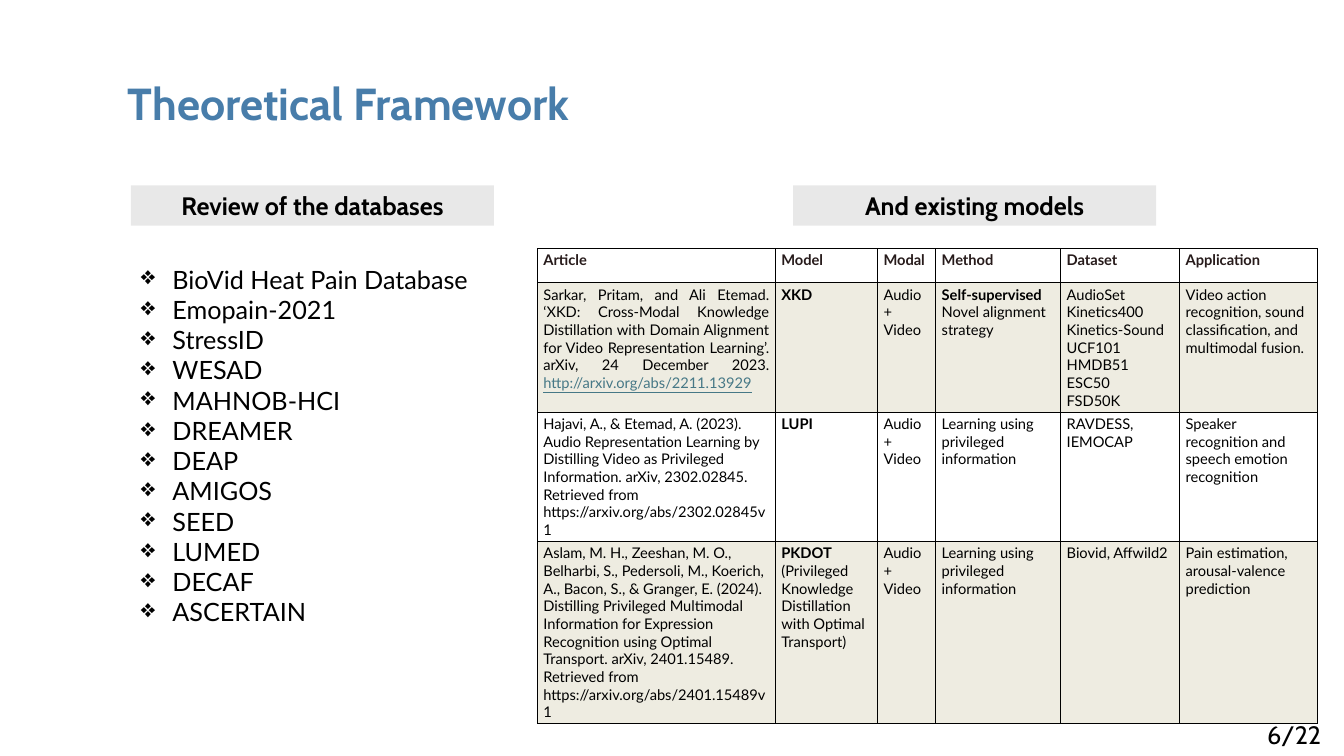
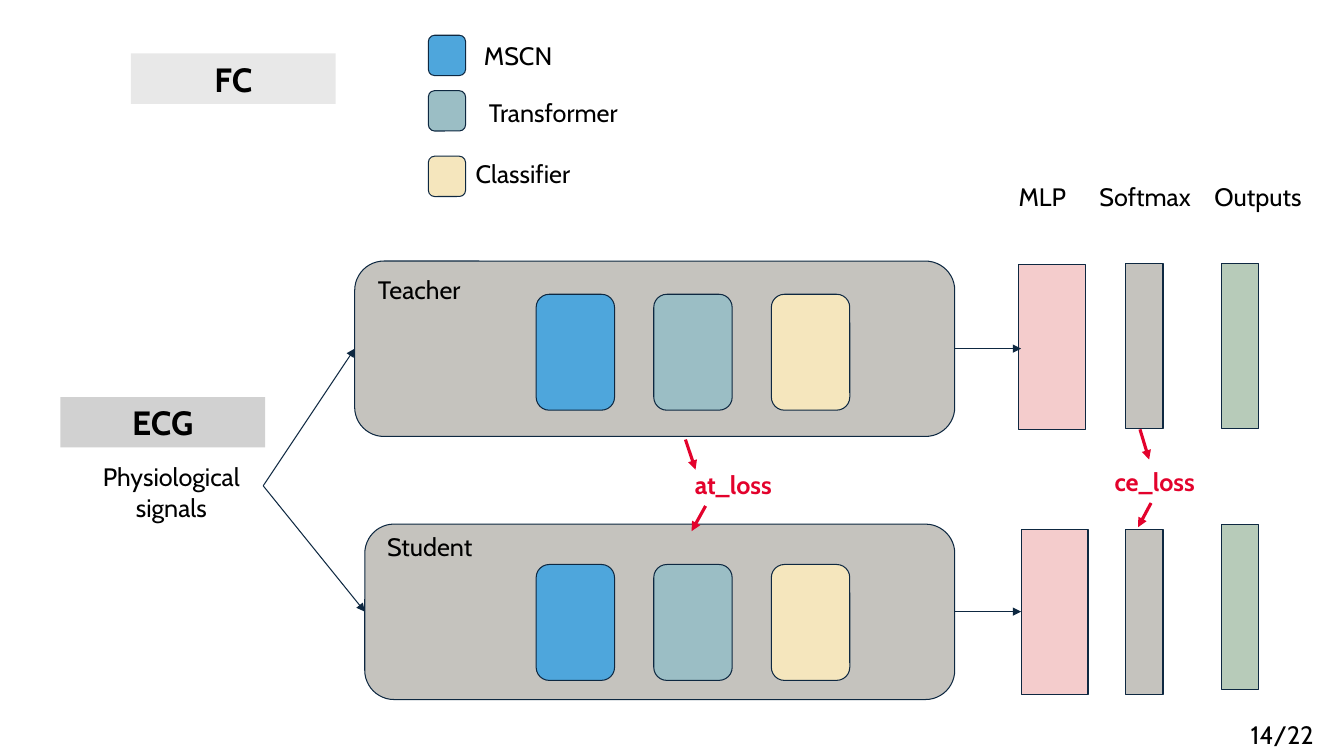
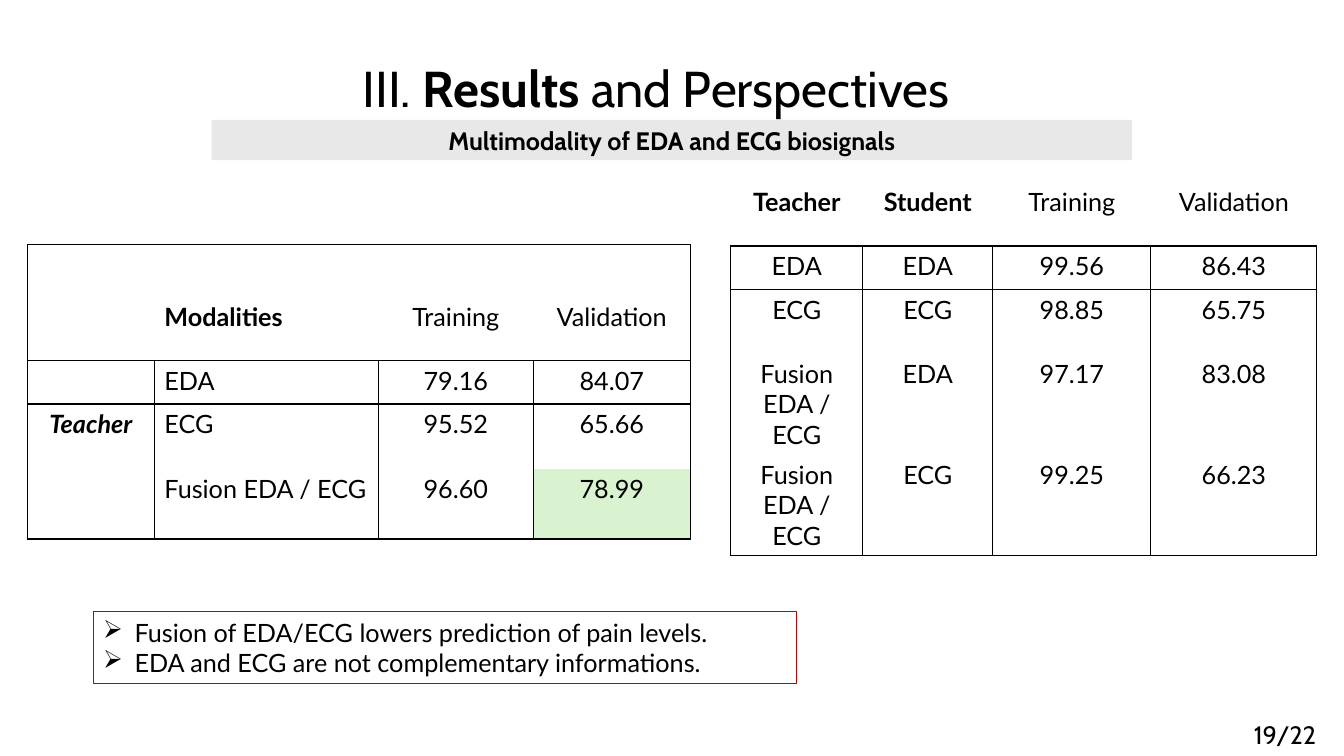
import dataclasses

import lxml.etree
import pptx
import pptx.dml.color
import pptx.enum.shapes
import pptx.enum.text
import pptx.oxml.ns
import pptx.util

Pt = pptx.util.Pt
Align = pptx.enum.text.PP_ALIGN
Preset = pptx.enum.shapes.MSO_SHAPE
qn = pptx.oxml.ns.qn


@dataclasses.dataclass(frozen=True)
class Theme:
    heading_font: str = "Cabin"
    body_font: str = "Lato"
    title_size: float = 32
    section_size: float = 36
    tag_size: float = 24
    text_size: float = 18
    cell_size: float = 10.5
    black: str = "000000"
    title: str = "487DAA"
    header: str = "271B1B"
    link: str = "467886"
    band: str = "E8E8E8"
    dark_band: str = "D1D1D1"
    beige: str = "EEECE1"
    edge: str = "0E2841"
    panel: str = "C5C3BE"
    mscn: str = "4EA6DC"
    transformer: str = "9BBEC5"
    classifier: str = "F5E6BD"
    mlp: str = "F4CCCC"
    output: str = "B7CBB9"
    loss: str = "E3022C"
    best: str = "D9F2D0"
    conclusion: str = "C00000"
    thin: float = 0.5
    fine: float = 0.75
    rule: float = 1
    thick: float = 2.25
    no_style: str = "{2D5ABB26-0587-4C30-8999-92F81FD0307C}"


THEME = Theme()


@dataclasses.dataclass(frozen=True)
class Look:
    size: float = THEME.text_size
    font: str = THEME.heading_font
    color: str = THEME.black
    bold: bool = False
    italic: bool = False
    align: Align = Align.LEFT


@dataclasses.dataclass(frozen=True)
class Span:
    text: str
    bold: bool = None
    color: str = None
    underline: bool = None


@dataclasses.dataclass(frozen=True)
class Network:
    name: str
    name_at: tuple
    panel_left: float
    panel_top: float
    blocks_top: float
    mlp_left: float
    bar_tops: tuple


LABEL = Look()
CENTERED = Look(align=Align.CENTER)
BAND = Look(bold=True, align=Align.CENTER)
TAG = dataclasses.replace(BAND, size=THEME.tag_size)
LOSS = dataclasses.replace(BAND, color=THEME.loss)
BODY = Look(font=THEME.body_font)
VALUE = dataclasses.replace(BODY, align=Align.CENTER)
SMALL = dataclasses.replace(BODY, size=THEME.cell_size)


def rgb(code):
    return pptx.dml.color.RGBColor.from_string(code)


def add_bullet(para, mark):
    props = para._p.get_or_add_pPr()
    props.set("marL", str(int(Pt(22.5))))
    props.set("indent", str(-int(Pt(22.5))))
    lxml.etree.SubElement(props, qn("a:buChar"), char=mark)


def write(frame, lines, look, bullet=None):
    frame.word_wrap = True
    for index, line in enumerate([lines] if isinstance(lines, str) else lines):
        para = frame.paragraphs[0] if index == 0 else frame.add_paragraph()
        para.alignment = look.align
        if bullet:
            add_bullet(para, bullet)
        font = para.font
        font.size, font.name = Pt(look.size), look.font
        font.bold, font.italic = look.bold, look.italic
        font.color.rgb = rgb(look.color)
        for span in [Span(line)] if isinstance(line, str) else line:
            if not span.text:
                continue
            run = para.add_run()
            run.text = span.text
            if span.bold is not None:
                run.font.bold = span.bold
            if span.underline is not None:
                run.font.underline = span.underline
            if span.color:
                run.font.color.rgb = rgb(span.color)


def add_text(page, left, top, width, height, lines, look, bullet=None):
    box = page.shapes.add_textbox(Pt(left), Pt(top), Pt(width), Pt(height))
    write(box.text_frame, lines, look, bullet)
    return box.text_frame


def add_label(page, left, top, width, height, lines, look=LABEL):
    frame = add_text(page, left, top, width, height, lines, look)
    frame.margin_left = frame.margin_right = 0
    frame.margin_top = frame.margin_bottom = 0


def add_centered(page, center, top, text, look=CENTERED, width=150, height=22):
    add_label(page, center - width / 2, top, width, height, text, look)


def add_box(page, left, top, width, height, fill=None, edge=THEME.edge, kind=Preset.RECTANGLE):
    shape = page.shapes.add_shape(kind, Pt(left), Pt(top), Pt(width), Pt(height))
    shape.shadow.inherit = False
    if fill:
        shape.fill.solid()
        shape.fill.fore_color.rgb = rgb(fill)
    else:
        shape.fill.background()
    if edge:
        shape.line.color.rgb = rgb(edge)
        shape.line.width = Pt(THEME.fine)
    else:
        shape.line.fill.background()
    return shape


def add_round_box(page, left, top, width, height, fill):
    add_box(page, left, top, width, height, fill, kind=Preset.ROUNDED_RECTANGLE)


def add_band(page, left, top, width, height, text, look=BAND, fill=THEME.band):
    shape = add_box(page, left, top, width, height, fill, edge=None)
    write(shape.text_frame, text, look)


def add_arrow(page, start, end, color=THEME.edge, weight=THEME.fine):
    straight = pptx.enum.shapes.MSO_CONNECTOR.STRAIGHT
    arrow = page.shapes.add_connector(straight, *(Pt(value) for value in start + end))
    arrow.line.color.rgb = rgb(color)
    arrow.line.width = Pt(weight)
    lxml.etree.SubElement(arrow.line._get_or_add_ln(), qn("a:tailEnd"), type="triangle")
    lxml.etree.SubElement(arrow._element.spPr, qn("a:effectLst"))


def add_page_number(page, left, text):
    add_text(page, left, 510, 73, 29, text, LABEL)


def set_borders(cell, sides, weight):
    props = cell._tc.get_or_add_tcPr()
    for side in "lrtb":
        if side in sides:
            line = lxml.etree.SubElement(props, qn("a:ln" + side.upper()), w=str(int(Pt(weight))))
            paint = lxml.etree.SubElement(line, qn("a:solidFill"))
            lxml.etree.SubElement(paint, qn("a:srgbClr"), val=THEME.black)


def add_table(page, left, top, widths, heights, rows, look, looks, sides,
              weight=THEME.rule, fills=None, merges=(), insets=(7.2, 3.6)):
    frame = page.shapes.add_table(len(heights), len(widths), Pt(left), Pt(top),
                                  Pt(sum(widths)), Pt(sum(heights)))
    table = frame.table
    table.first_row = table.horz_banding = False
    table._tbl.tblPr.find(qn("a:tableStyleId")).text = THEME.no_style
    for column, width in zip(table.columns, widths):
        column.width = Pt(width)
    for row, height in zip(table.rows, heights):
        row.height = Pt(height)
    for r, row in enumerate(rows):
        for c, content in enumerate(row):
            cell = table.cell(r, c)
            cell.margin_left = cell.margin_right = Pt(insets[0])
            cell.margin_top = cell.margin_bottom = Pt(insets[1])
            write(cell.text_frame, content, looks.get((r, c), look))
            set_borders(cell, sides[r][c], weight)
            fill = (fills or {}).get((r, c))
            if fill:
                cell.fill.solid()
                cell.fill.fore_color.rgb = rgb(fill)
            else:
                cell.fill.background()
    for first, last in merges:
        table.cell(*first).merge(table.cell(*last))


def build_framework(page):
    add_text(page, 84.2, 50.4, 424, 46, "Theoretical Framework",
             Look(THEME.title_size, color=THEME.title, bold=True))
    add_page_number(page, 898, "6/22")
    for left, text in ((93.6, "Review of the databases"), (566.6, "And existing models")):
        add_band(page, left, 132.5, 259.2, 28.8, text)
    databases = ["BioVid Heat Pain Database", "Emopain-2021", "StressID", "WESAD",
                 "MAHNOB-HCI", "DREAMER", "DEAP", "AMIGOS", "SEED", "LUMED", "DECAF", "ASCERTAIN"]
    add_text(page, 93.6, 185, 360, 269, databases, BODY, "❖")
    rows = [
        ["Article", "Model", "Modal", "Method", "Dataset", "Application"],
        [[(Span("Sarkar, Pritam, and Ali Etemad. ‘XKD: Cross-Modal Knowledge Distillation with "
                "Domain Alignment for Video Representation Learning’. arXiv, 24 December 2023. "),
           Span("http://arxiv.org/abs/2211.13929", color=THEME.link, underline=True))],
         "XKD", "Audio + Video",
         [(Span("Self-supervised", bold=True),), "Novel alignment strategy"],
         ["AudioSet", "Kinetics400", "Kinetics-Sound", "UCF101", "HMDB51", "ESC50", "FSD50K"],
         "Video action recognition, sound classification, and multimodal fusion."],
        ["Hajavi, A., & Etemad, A. (2023). Audio Representation Learning by Distilling Video as "
         "Privileged Information. arXiv, 2302.02845. Retrieved from "
         "https://arxiv.org/abs/2302.02845v1",
         "LUPI", "Audio + Video", "Learning using privileged information", "RAVDESS, IEMOCAP",
         "Speaker recognition and speech emotion recognition"],
        ["Aslam, M. H., Zeeshan, M. O., Belharbi, S., Pedersoli, M., Koerich, A., Bacon, S., & "
         "Granger, E. (2024). Distilling Privileged Multimodal Information for Expression "
         "Recognition using Optimal Transport. arXiv, 2401.15489. Retrieved from "
         "https://arxiv.org/abs/2401.15489v1",
         [(Span("PKDOT ", bold=True),
           Span("(Privileged Knowledge Distillation with Optimal Transport)"))],
         "Audio + Video", "Learning using privileged information", "Biovid, Affwild2",
         "Pain estimation, arousal-valence prediction"],
    ]
    header = dataclasses.replace(SMALL, color=THEME.header, bold=True)
    strong = dataclasses.replace(SMALL, bold=True)
    looks = {(0, c): header for c in range(6)}
    looks |= {(1, 0): dataclasses.replace(SMALL, align=Align.JUSTIFY), (1, 1): strong, (2, 1): strong}
    add_table(page, 383.9, 177.4, [170, 73, 41.5, 89.3, 85, 98.6], [24.6, 92.4, 92.4, 130],
              rows, SMALL, looks, [["lrtb"] * 6] * 4, THEME.thin,
              {(r, c): THEME.beige for r in (1, 3) for c in range(6)}, insets=(4.3, 2.1))


def build_network(page, network):
    panel_right, middle = 682, network.panel_top + 62.5
    add_round_box(page, network.panel_left, network.panel_top,
                  panel_right - network.panel_left, 125.3, THEME.panel)
    add_label(page, *network.name_at, 140, 22, network.name)
    for index, fill in enumerate((THEME.mscn, THEME.transformer, THEME.classifier)):
        add_round_box(page, 383 + 84 * index, network.blocks_top, 56, 82.8, fill)
    bars = ((network.mlp_left, 47.8, THEME.mlp), (804.2, 26.6, THEME.panel),
            (872.6, 26.6, THEME.output))
    for (left, width, fill), top in zip(bars, network.bar_tops):
        add_box(page, left, top, width, 118, fill)
    add_arrow(page, (panel_right, middle), (729.4, middle))
    add_arrow(page, (188, 347), (network.panel_left, middle))


def build_architecture(page):
    add_band(page, 93.6, 38.2, 146.2, 36, "FC", TAG)
    add_band(page, 43.2, 283.7, 146.2, 36, "ECG", TAG, THEME.dark_band)
    add_page_number(page, 886.3, "14/22")
    legend = ((25.2, THEME.mscn, 345.6, 28.6, "MSCN"),
              (64.8, THEME.transformer, 349.2, 69.8, "Transformer"),
              (111.6, THEME.classifier, 339.8, 113, "Classifier"))
    for swatch_top, fill, left, top, text in legend:
        add_round_box(page, 306, swatch_top, 26.6, 28.8, fill)
        add_label(page, left, top, 145, 22, text)
    networks = (
        Network("Teacher", (270, 196), 253.4, 186.5, 210.2, 727.5, (188.9, 188, 188)),
        Network("Student", (276.5, 379.4), 260.6, 374.4, 403.2, 729.4, (378, 378, 374.4)),
    )
    for network in networks:
        build_network(page, network)
    for center, text in ((744.5, "MLP"), (817.9, "Softmax"), (898.6, "Outputs")):
        add_centered(page, center, 129.3, text, width=74)
    add_centered(page, 122.4, 329.8, "Physiological signals", height=44)
    add_centered(page, 523.8, 335.6, "at_loss", LOSS)
    add_centered(page, 824.8, 333, "ce_loss", LOSS)
    for start, end in (((489.6, 314), (496.8, 335.5)), ((504, 361.4), (494, 379.4)),
                       ((814.3, 306.7), (820.8, 328.3)), ((822.2, 359.3), (812.9, 376.6))):
        add_arrow(page, start, end, THEME.loss, THEME.thick)


def build_results(page):
    title = (Span("III. "), Span("Results", bold=True), Span(" and Perspectives"))
    add_label(page, 0, 40.5, 937, 44, [title], Look(THEME.section_size, align=Align.CENTER))
    add_page_number(page, 888.5, "19/22")
    strong = dataclasses.replace(VALUE, bold=True)
    student_rows = [
        [""] * 4,
        ["Teacher", "Student", "Training", "Validation"],
        ["EDA", "EDA", "99.56", "86.43"],
        ["ECG", "ECG", "98.85", "65.75"],
        ["Fusion EDA / ECG", "EDA", "97.17", "83.08"],
        ["Fusion EDA / ECG", "ECG", "99.25", "66.23"],
    ]
    add_table(page, 522, 92.9, [94.3, 92.9, 112.9, 118.6], [36.7, 46.1, 31, 46.1, 72, 72],
              student_rows, VALUE, {(1, 0): strong, (1, 1): strong},
              [[sides] * 4 for sides in ("", "b", "lrt", "lr", "lr", "lrb")],
              merges=[((0, 0), (0, 3))])
    add_band(page, 151.2, 85.7, 657.4, 28.8, "Multimodality of EDA and ECG biosignals")
    teacher_rows = [
        [""] * 4,
        ["", "Modalities", "Training", "Validation"],
        ["", "EDA", "79.16", "84.07"],
        ["Teacher", "ECG", "95.52", "65.66"],
        ["", "Fusion EDA / ECG", "96.60", "78.99"],
    ]
    looks = {(r, 1): BODY for r in range(2, 5)}
    looks |= {(1, 1): dataclasses.replace(BODY, bold=True),
              (3, 0): dataclasses.replace(strong, italic=True)}
    sides = [["ltb", "tr", "t", "tr"], ["lb", "b", "b", "rb"]]
    sides += [[body] * 4 for body in ("lrt", "lr", "lrb")]
    add_table(page, 19.6, 174.8, [90.7, 160, 110.7, 112.1], [36.7, 46.1, 31, 46.1, 50.4],
              teacher_rows, VALUE, looks, sides, fills={(4, 3): THEME.best},
              merges=[((0, 0), (1, 0)), ((0, 1), (0, 3))])
    box = add_box(page, 66.5, 437, 502.6, 51.1, edge=THEME.conclusion)
    write(box.text_frame, ["Fusion of EDA/ECG lowers prediction of pain levels.",
                           "EDA and ECG are not complementary informations."], BODY, "➢")


def main():
    deck = pptx.Presentation()
    deck.slide_width, deck.slide_height = Pt(960), Pt(540)
    for build in (build_framework, build_architecture, build_results):
        build(deck.slides.add_slide(deck.slide_layouts[6]))
    deck.save("out.pptx")


if __name__ == "__main__":
    main()
